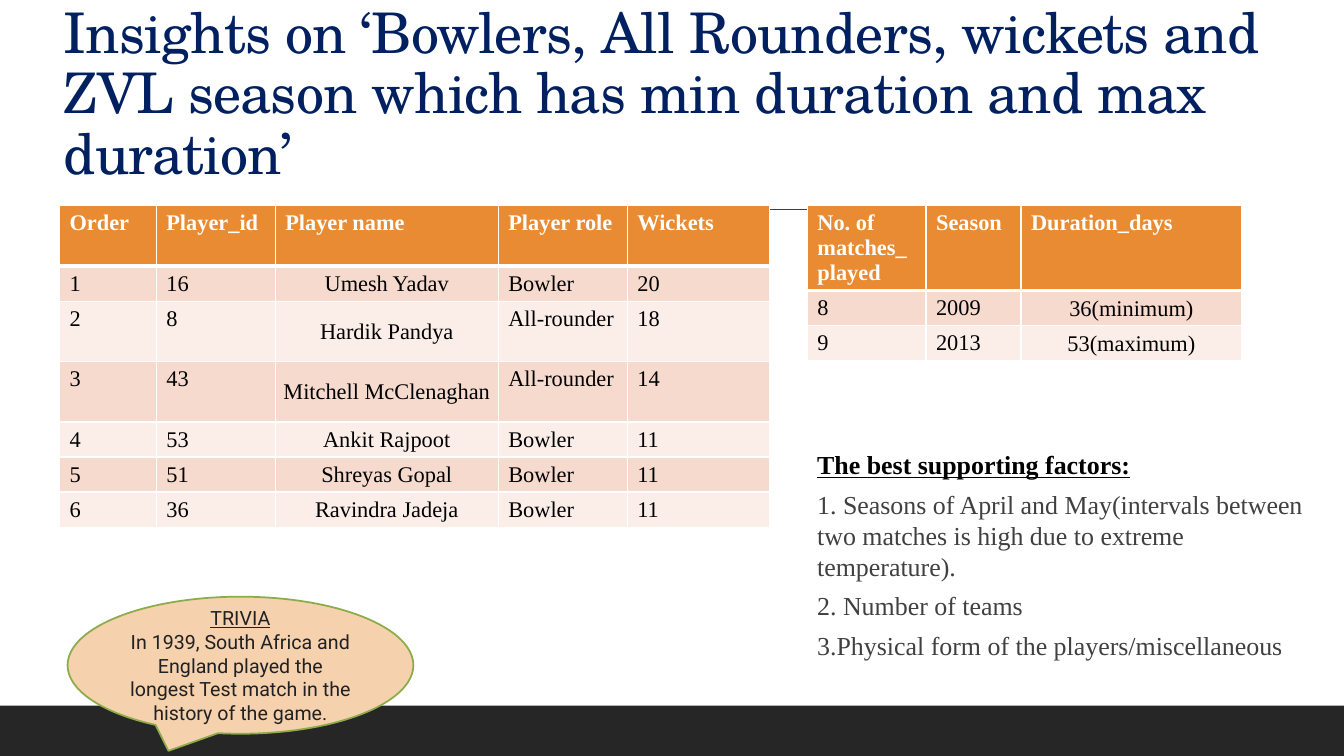
from dataclasses import dataclass

from lxml.etree import SubElement
from pptx import Presentation
from pptx.dml.color import RGBColor
from pptx.enum.shapes import MSO_CONNECTOR as Connector, MSO_SHAPE as Shape
from pptx.enum.text import MSO_ANCHOR as Anchor, MSO_AUTO_SIZE as AutoSize, PP_ALIGN as Align
from pptx.oxml.ns import qn
from pptx.util import Inches, Pt

WIDTH, HEIGHT = Inches(13.33), Inches(7.5)
SERIF = "Times New Roman"
COLORS = {
    "navy": "002060", "footer": "262626", "grey": "404040", "black": "000000",
    "white": "FFFFFF", "header": "E88B33", "band_dark": "F6DACE", "band_light": "FBEEE8",
    "callout": "F6D1AD", "callout_line": "8CAB4A", "trivia": "202124",
}


def rgb(name: str) -> RGBColor:
    return RGBColor.from_string(COLORS[name])


def across(share: float) -> int:
    """Percent of the slide's width."""
    return round(WIDTH * share / 100)


def down(share: float) -> int:
    """Percent of the slide's height."""
    return round(HEIGHT * share / 100)


@dataclass(frozen=True)
class Box:
    """Position and size in percent of the slide."""
    left: float
    top: float
    width: float
    height: float

    def emu(self) -> tuple:
        return across(self.left), down(self.top), across(self.width), down(self.height)


@dataclass(frozen=True)
class Style:
    font: str
    size: float
    color: str
    bold: bool = False
    underline: bool = False


@dataclass(frozen=True)
class TableSpec:
    left: float
    top: float
    columns: tuple
    heights: tuple
    centred: int
    rows: tuple


TITLE = Style("TeX Gyre Schola", 40, "navy")
HEADER = Style(SERIF, 16, "white", bold=True)
CELL = Style(SERIF, 16, "black")
FACTOR_HEADING = Style(SERIF, 18.5, "black", bold=True, underline=True)
FACTOR = Style(SERIF, 18.5, "grey")
TRIVIA_HEADING = Style("Roboto", 14, "trivia", underline=True)
TRIVIA = Style("Roboto", 14, "trivia")

TITLE_TEXT = ("Insights on ‘Bowlers, All Rounders, wickets and ZVL season "
              "which has min duration and max duration’")
FACTORS = (
    "The best supporting factors:",
    "1. Seasons of April and May(intervals between two matches is high "
    "due to extreme temperature).",
    "2. Number of teams",
    "3.Physical form of the players/miscellaneous",
)
TRIVIA_LINES = (
    "TRIVIA",
    "In 1939, South Africa and England played the longest Test match "
    "in the history of the game.",
)
TABLES = (
    TableSpec(4.43, 27.2, (7.2, 8.85, 16.6, 9.6, 10.58),
              (8, 4.63, 8, 8, 4.63, 4.63, 4.63), 2, (
        ("Order", "Player_id", "Player name", "Player role", "Wickets"),
        ("1", "16", "Umesh Yadav", "Bowler", "20"),
        ("2", "8", "Hardik Pandya", "All-rounder", "18"),
        ("3", "43", "Mitchell McClenaghan", "All-rounder", "14"),
        ("4", "53", "Ankit Rajpoot", "Bowler", "11"),
        ("5", "51", "Shreyas Gopal", "Bowler", "11"),
        ("6", "36", "Ravindra Jadeja", "Bowler", "11"),
    )),
    TableSpec(60.07, 27.2, (8.83, 7.07, 16.43), (11.07, 4.67, 4.67), 2, (
        ("No. of matches_played", "Season", "Duration_days"),
        ("8", "2009", "36(minimum)"),
        ("9", "2013", "53(maximum)"),
    )),
)


def format_paragraph(p, style: Style, align=Align.LEFT) -> None:
    p.alignment = align
    for r in p.runs:
        r.font.name, r.font.size = style.font, Pt(style.size)
        r.font.bold, r.font.underline = style.bold, style.underline
        r.font.color.rgb = rgb(style.color)


def add_borders(cell, bottom: float) -> None:
    tc_pr = cell._tc.get_or_add_tcPr()
    for side, width in (("lnL", 1), ("lnR", 1), ("lnT", 1), ("lnB", bottom)):
        ln = SubElement(tc_pr, qn(f"a:{side}"), w=str(Pt(width)))
        SubElement(SubElement(ln, qn("a:solidFill")), qn("a:srgbClr"), val=COLORS["white"])


def add_data_table(slide, spec: TableSpec) -> None:
    box = Box(spec.left, spec.top, sum(spec.columns), sum(spec.heights))
    table = slide.shapes.add_table(len(spec.rows), len(spec.columns), *box.emu()).table
    for column, width in zip(table.columns, spec.columns):
        column.width = across(width)
    for i, (row, height, texts) in enumerate(zip(table.rows, spec.heights, spec.rows)):
        row.height = down(height)
        fill = "header" if i == 0 else ("band_light", "band_dark")[i % 2]
        for j, (cell, text) in enumerate(zip(row.cells, texts)):
            centred = i > 0 and j == spec.centred
            cell.text_frame.text = text
            format_paragraph(cell.text_frame.paragraphs[0], CELL if i else HEADER,
                             Align.CENTER if centred else Align.LEFT)
            if centred:
                cell.vertical_anchor = Anchor.MIDDLE
                cell.margin_left = cell.margin_right = cell.margin_top = Inches(0.01)
                cell.margin_bottom = 0
            add_borders(cell, 1 if i else 3)
            cell.fill.solid()
            cell.fill.fore_color.rgb = rgb(fill)


def place(sp, box: Box) -> None:
    sp.left, sp.top, sp.width, sp.height = box.emu()


def fill_title(sp) -> None:
    place(sp, Box(3.98, 4.13, 91.22, 21.2))
    tf = sp.text_frame
    tf.text = TITLE_TEXT
    tf.word_wrap, tf.auto_size, tf.vertical_anchor = True, AutoSize.NONE, Anchor.BOTTOM
    p = tf.paragraphs[0]
    p.line_spacing = 0.9
    format_paragraph(p, TITLE)
    p.runs[0].font._element.set("spc", "-50")


def fill_factors(sp) -> None:
    place(sp, Box(60.05, 58.67, 37.96, 32.13))
    tf = sp.text_frame
    tf.text = "\n".join(FACTORS)
    tf.word_wrap, tf.auto_size, tf.vertical_anchor = True, AutoSize.NONE, Anchor.TOP
    tf.margin_left = tf.margin_right = 0
    for i, p in enumerate(tf.paragraphs):
        p_pr = p._p.get_or_add_pPr()
        p_pr.set("marL", str(Inches(0.1)))
        p_pr.set("indent", "0")
        SubElement(p_pr, qn("a:buNone"))
        p.line_spacing, p.space_before = 1.0, Pt(6)
        format_paragraph(p, FACTOR if i else FACTOR_HEADING)


def add_filled_shape(slide, kind, box: Box, fill: str):
    sp = slide.shapes.add_shape(kind, *box.emu())
    sp.shadow.inherit = False
    sp.fill.solid()
    sp.fill.fore_color.rgb = rgb(fill)
    sp.line.fill.background()
    return sp


def add_rule(slide) -> None:
    y = down(27.7)
    rule = slide.shapes.add_connector(Connector.STRAIGHT, across(9.83), y, across(91.6), y)
    rule.line.color.rgb, rule.line.width = rgb("grey"), Pt(1)
    SubElement(rule._element.spPr, qn("a:effectLst"))


def add_trivia(slide) -> None:
    sp = add_filled_shape(slide, Shape.OVAL_CALLOUT, Box(5.03, 78.93, 25.73, 18.13), "callout")
    sp.line.color.rgb, sp.line.width = rgb("callout_line"), Pt(1.25)
    tf = sp.text_frame
    tf.text = "\n".join(TRIVIA_LINES)
    tf.word_wrap, tf.vertical_anchor = True, Anchor.MIDDLE
    for p, style in zip(tf.paragraphs, (TRIVIA_HEADING, TRIVIA)):
        format_paragraph(p, style, Align.CENTER)


def main() -> None:
    prs = Presentation()
    prs.slide_width, prs.slide_height = WIDTH, HEIGHT
    slide = prs.slides.add_slide(prs.slide_layouts[1])
    add_filled_shape(slide, Shape.RECTANGLE, Box(0, 93.33, 100, 6.67), "footer")
    add_rule(slide)
    fill_title(slide.shapes.title)
    fill_factors(slide.placeholders[1])
    for spec in TABLES:
        add_data_table(slide, spec)
    add_trivia(slide)
    prs.save("out.pptx")


if __name__ == "__main__":
    main()
